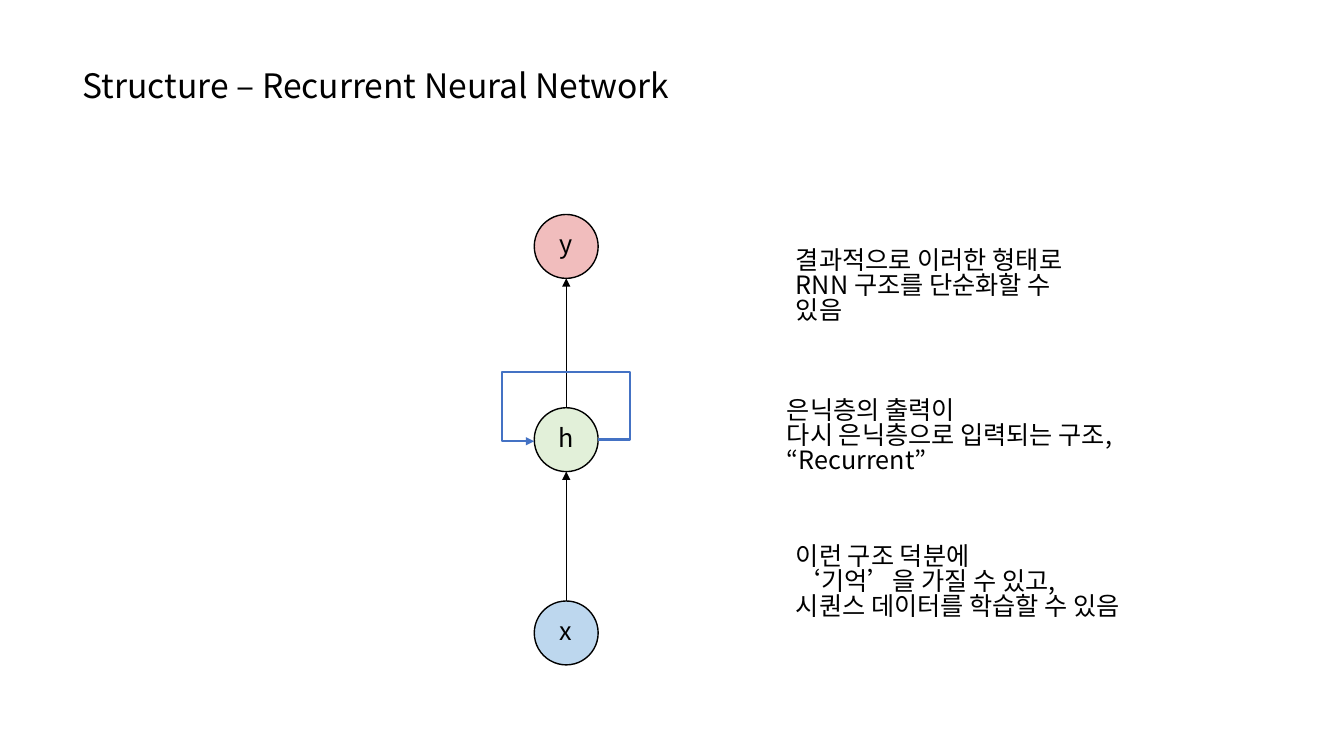
from dataclasses import dataclass

from lxml import etree
from pptx import Presentation
from pptx.dml.color import RGBColor
from pptx.enum.shapes import MSO_CONNECTOR, MSO_SHAPE
from pptx.enum.text import MSO_ANCHOR, PP_ALIGN
from pptx.oxml.ns import qn
from pptx.util import Cm, Pt

ELBOW, STRAIGHT = MSO_CONNECTOR.ELBOW, MSO_CONNECTOR.STRAIGHT
OVAL = MSO_SHAPE.OVAL
TOP, MIDDLE = MSO_ANCHOR.TOP, MSO_ANCHOR.MIDDLE
LEFT, CENTER = PP_ALIGN.LEFT, PP_ALIGN.CENTER


@dataclass(frozen=True)
class Theme:
    font: str = "Noto Sans CJK KR"
    ink: str = "000000"
    loop: str = "4472C4"
    output: str = "F1BDBD"
    hidden: str = "E2F0D9"
    input: str = "BDD7EE"
    title_size: int = 24
    body_size: int = 18
    line_spacing: float = 0.83


THEME = Theme()

# Network geometry in centimetres
AXIS_X = 14.27
NODE_SIZE = 1.61
RADIUS = NODE_SIZE / 2
FIRST_Y = 6.21
PITCH = 4.87

NODES = [("y", THEME.output), ("h", THEME.hidden), ("x", THEME.input)]

# Left, top, width and paragraphs of each note
NOTES = [
    (19.81, 6.15, 8.13, ["결과적으로 이러한 형태로 RNN 구조를 단순화할 수", "있음"]),
    (19.58, 9.93, 10.21,
     ["은닉층의 출력이", "다시 은닉층으로 입력되는 구조,", "“Recurrent”"]),
    (19.81, 13.61, 10.21,
     ["이런 구조 덕분에", "‘기억’을 가질 수 있고,", "시퀀스 데이터를 학습할 수 있음"]),
]


def rgb(color):
    return RGBColor.from_string(color)


def set_text(tf, lines, size, align=LEFT, anchor=TOP):
    frame_format = {"word_wrap": True, "vertical_anchor": anchor}
    for name, value in frame_format.items():
        setattr(tf, name, value)
    font_format = {"name": THEME.font, "size": Pt(size), "bold": False}
    for i, line in enumerate(lines):
        p = tf.paragraphs[0] if i == 0 else tf.add_paragraph()
        p.alignment = align
        p.line_spacing = THEME.line_spacing
        r = p.add_run()
        r.text = line
        for name, value in font_format.items():
            setattr(r.font, name, value)
        r.font.color.rgb = rgb(THEME.ink)
        # Korean glyphs take the East Asian typeface
        ea = etree.SubElement(r.font._element, qn("a:ea"))
        ea.set("typeface", THEME.font)


def add_title(s, text):
    sp = s.shapes.title
    box = {"left": 1.83, "top": 1.6, "width": 17.53, "height": 1.27}
    for name, value in box.items():
        setattr(sp, name, Cm(value))
    set_text(sp.text_frame, [text], THEME.title_size, anchor=MIDDLE)


def add_note(s, left, top, width, lines):
    sp = s.shapes.add_textbox(Cm(left), Cm(top), Cm(width), Cm(2.57))
    set_text(sp.text_frame, lines, THEME.body_size)


def add_node(s, label, color, y):
    sp = s.shapes.add_shape(OVAL, Cm(AXIS_X - RADIUS), Cm(y - RADIUS),
                            Cm(NODE_SIZE), Cm(NODE_SIZE))
    sp.shadow.inherit = False
    sp.fill.solid()
    sp.fill.fore_color.rgb = rgb(color)
    sp.line.color.rgb = rgb(THEME.ink)
    sp.line.width = Pt(1)
    set_text(sp.text_frame, [label], THEME.body_size, CENTER, MIDDLE)


def add_arrow(s, kind, start, end, color, width):
    sp = s.shapes.add_connector(kind, *[Cm(v) for v in (*start, *end)])
    sp.line.color.rgb = rgb(color)
    sp.line.width = Pt(width)
    etree.SubElement(sp.line._get_or_add_ln(), qn("a:tailEnd"), type="triangle")
    etree.SubElement(sp._element.spPr, qn("a:effectLst"))
    return sp


def add_loop(s, y):
    """Lead the node's output over its top and back to its input."""
    drop, reach, rise = 0.04, 0.81, 1.7
    sp = add_arrow(s, ELBOW, (AXIS_X + RADIUS, y), (AXIS_X - RADIUS, y + drop),
                   THEME.loop, 1.75)
    geom = sp._element.spPr.find(qn("a:prstGeom"))
    geom.set("prst", "bentConnector5")
    guides = geom.find(qn("a:avLst"))
    bends = (-reach / NODE_SIZE, -rise / drop, 1 + reach / NODE_SIZE)
    for i, bend in enumerate(bends, 1):
        etree.SubElement(guides, qn("a:gd"), name=f"adj{i}",
                         fmla=f"val {round(bend * 100000)}")


def main():
    prs = Presentation()
    prs.slide_width, prs.slide_height = Cm(33.87), Cm(19.05)
    s = prs.slides.add_slide(prs.slide_layouts[5])
    add_title(s, "Structure – Recurrent Neural Network")

    # Network: arrows first, nodes above them
    centers = [FIRST_Y + i * PITCH for i in range(len(NODES))]
    for upper, lower in zip(centers, centers[1:]):
        add_arrow(s, STRAIGHT, (AXIS_X, lower - RADIUS),
                  (AXIS_X, upper + RADIUS), THEME.ink, 0.5)
    for (label, color), y in zip(NODES, centers):
        add_node(s, label, color, y)
    add_loop(s, centers[1])

    # Explanations
    for note in NOTES:
        add_note(s, *note)

    prs.save("out.pptx")


if __name__ == "__main__":
    main()
